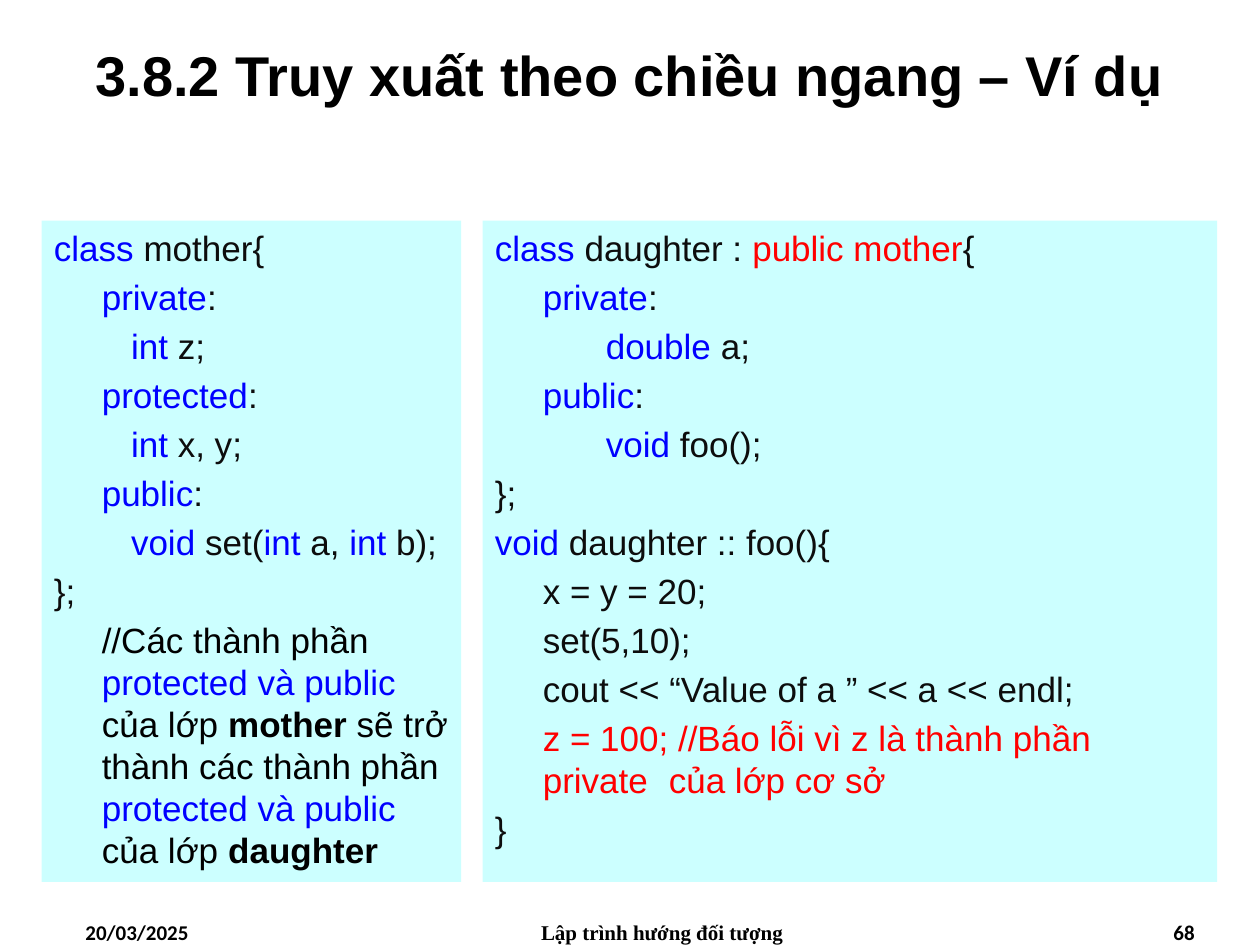
from lxml import etree
from pptx import Presentation
from pptx.dml.color import RGBColor
from pptx.enum.shapes import MSO_SHAPE
from pptx.enum.text import MSO_ANCHOR, PP_ALIGN
from pptx.oxml.ns import qn
from pptx.util import Inches, Pt

RECT = MSO_SHAPE.RECTANGLE
TOP, MIDDLE = MSO_ANCHOR.TOP, MSO_ANCHOR.MIDDLE
LEFT, CENTER, RIGHT = PP_ALIGN.LEFT, PP_ALIGN.CENTER, PP_ALIGN.RIGHT

BLACK, DARK, BLUE, RED = "000000", "0D0D0D", "0000FF", "FF0000"
PANEL = "CCFFFF"
INDENT = 0.38


def rgb(value):
    return RGBColor.from_string(value)


def add_text(p, text, size=20, font="Arial", color=DARK, bold=False):
    r = p.add_run()
    r.text = text
    r.font.size = Pt(size)
    r.font.name = font
    r.font.bold = bold
    r.font.color.rgb = rgb(color)


def key(text):
    return text, {"color": BLUE}


def note(text, bold=False):
    return text, {"color": BLACK, "bold": bold}


MOTHER = [
    [key("class"), " mother{"],
    ["\t", key("private"), ":"],
    ["\t   ", key("int"), " z;"],
    ["\t", key("protected"), ":"],
    ["\t   ", key("int"), " x, y;"],
    ["\t", key("public"), ":"],
    ["\t   ", key("void"), " set(", key("int"), " a, ", key("int"), " b);"],
    ["};"],
    [note("//Các thành phần "), key("protected và public "),
     note("của lớp "), note("mother", bold=True),
     note(" sẽ trở thành các thành phần "), key("protected và public"),
     note(" của lớp "), note("daughter", bold=True)],
]

DAUGHTER = [
    [key("class"), " daughter : ", ("public mother", {"color": RED}), "{"],
    ["\t", key("private"), ":"],
    ["\t\t", key("double"), " a;"],
    ["\t", key("public"), ":"],
    ["\t\t", key("void"), " foo();"],
    ["};"],
    [key("void"), " daughter :: foo(){"],
    ["\tx = y = 20;"],
    ["\tset(5,10);"],
    ["\tcout << “Value of a ” << a << endl;"],
    [("\tz = 100; //Báo lỗi vì z là thành phần private \tcủa lớp cơ sở",
      {"color": RED})],
    ["}"],
]


def set_indent(p, hanging=True, tab=None):
    pPr = p._p.get_or_add_pPr()
    pPr.set("marL", str(Inches(INDENT)))
    pPr.set("indent", str(Inches(-INDENT if hanging else 0)))
    if tab:
        tabs = etree.SubElement(pPr, qn("a:tabLst"))
        etree.SubElement(tabs, qn("a:tab"), pos=str(Inches(tab)), algn="l")


def add_label(s, box, text, align=LEFT, anchor=TOP, **fmt):
    """Single line of text in a box."""
    sp = s.shapes.add_textbox(*map(Inches, box))
    tf = sp.text_frame
    tf.word_wrap = True
    tf.vertical_anchor = anchor
    p = tf.paragraphs[0]
    p.alignment = align
    add_text(p, text, bold=True, **fmt)


def add_code_panel(s, box, lines, note_row=None, tab_row=None):
    """Filled panel with one paragraph per code line."""
    sp = s.shapes.add_shape(RECT, *map(Inches, box))
    sp.shadow.inherit = False
    sp.fill.solid()
    sp.fill.fore_color.rgb = rgb(PANEL)
    sp.line.fill.background()
    tf = sp.text_frame
    tf.word_wrap = True
    tf.vertical_anchor = TOP
    for i, line in enumerate(lines):
        p = tf.paragraphs[0] if i == 0 else tf.add_paragraph()
        set_indent(p, hanging=i != note_row, tab=1.44 if i == tab_row else None)
        p.alignment = LEFT
        p.line_spacing = Pt(24)
        if i:
            p.space_before = Pt(4)
        for part in line:
            text, fmt = (part, {}) if isinstance(part, str) else part
            add_text(p, text, **fmt)


def add_footer(s, top, height):
    """Date, course name and page number."""
    for left, width, text, align, font in (
        (0.58, 2.33, "20/03/2025", LEFT, "Calibri"),
        (3.67, 3.17, "Lập trình hướng đối tượng", CENTER, "Times New Roman"),
        (7.25, 2.33, "68", RIGHT, "Calibri"),
    ):
        add_label(s, (left, top, width, height), text, align,
                  size=12, font=font, color=BLACK)


def main():
    prs = Presentation()
    prs.slide_width, prs.slide_height = Inches(10), Inches(7.5)
    s = prs.slides.add_slide(prs.slide_layouts[6])

    # Title
    add_label(s, (0, 0, 10, 1.17), "3.8.2 Truy xuất theo chiều ngang – Ví dụ",
              CENTER, MIDDLE, size=32, color=BLACK)
    # Derived class on the right, base class on the left
    add_code_panel(s, (3.83, 1.75, 5.83, 5.25), DAUGHTER, tab_row=10)
    add_code_panel(s, (0.33, 1.75, 3.33, 5.25), MOTHER, note_row=8)
    # Footer
    add_footer(s, 7.25, 0.25)

    prs.save("out.pptx")


if __name__ == "__main__":
    main()
